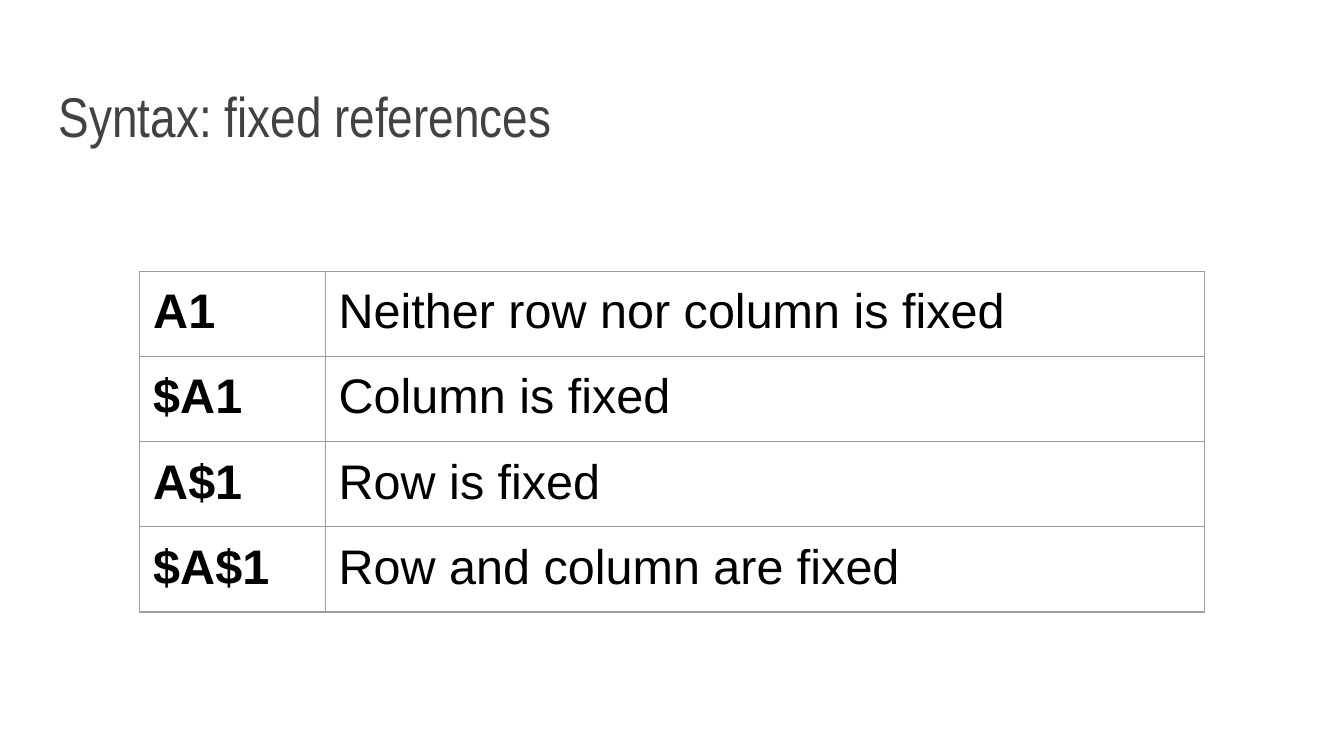
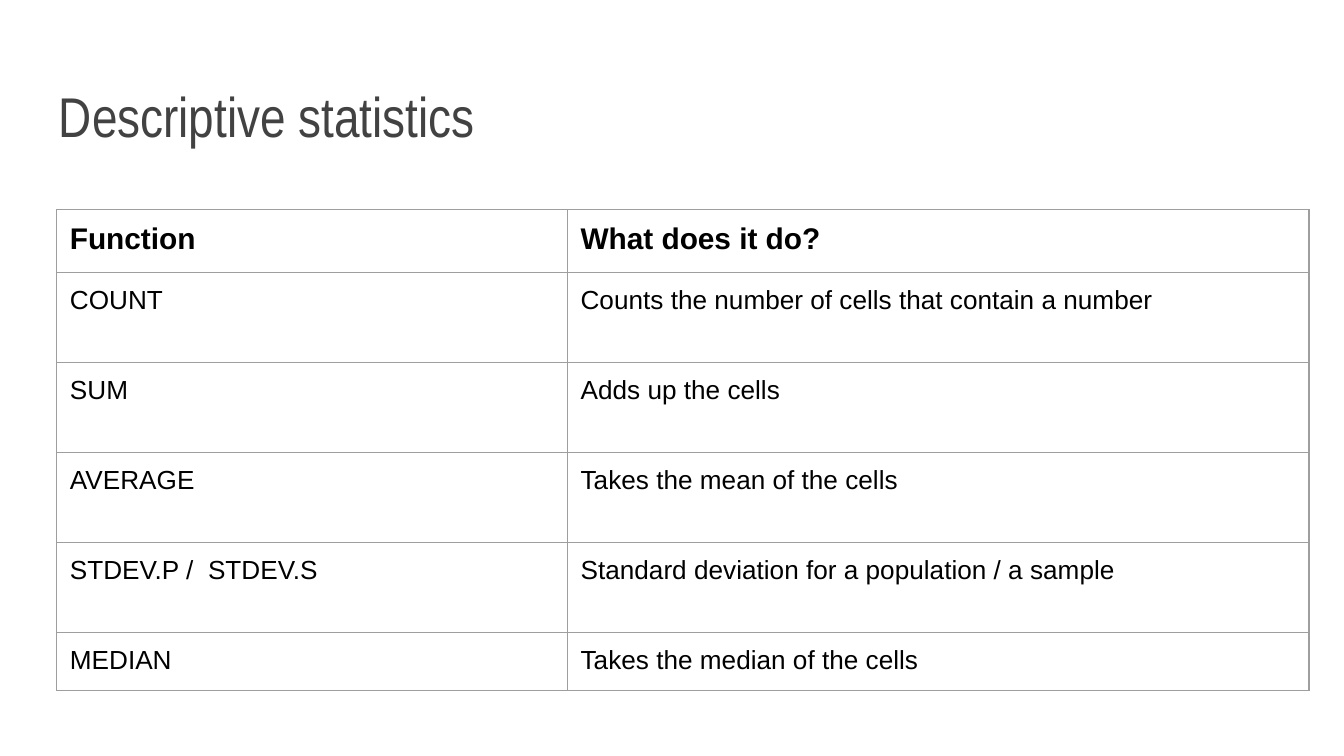
from dataclasses import dataclass

from lxml.etree import SubElement
from pptx import Presentation
from pptx.dml.color import RGBColor
from pptx.enum.text import MSO_ANCHOR
from pptx.oxml.ns import qn
from pptx.presentation import Presentation as Deck
from pptx.slide import Slide
from pptx.table import _Cell
from pptx.text.text import _Paragraph
from pptx.util import Inches, Pt

COLORS = {"title": "424242", "text": "000000", "border": "9E9E9E"}
TITLE_FONT, BODY_FONT = "Arial Narrow", "Arial"
INSET = Inches(0.1)
BORDER_WIDTH = Pt(0.75)


@dataclass
class TableSpec:
    left: float
    top: float
    col_widths: list[float]
    row_heights: list[float]
    rows: list[tuple[str, str]]
    size: int
    header_size: int | None = None  # set when the first row is a header
    bold_first_col: bool = False


@dataclass
class SlideSpec:
    title: str
    table: TableSpec


SLIDES = [
    SlideSpec("Syntax: fixed references", TableSpec(
        1.04, 2.02, [1.38, 6.54], [0.42] * 4,
        [("A1", "Neither row nor column is fixed"),
         ("$A1", "Column is fixed"),
         ("A$1", "Row is fixed"),
         ("$A$1", "Row and column are fixed")],
        size=26, bold_first_col=True)),
    SlideSpec("Descriptive statistics", TableSpec(
        0.42, 1.56, [3.8, 5.52], [0.43] + [0.67] * 4 + [0.42],
        [("Function", "What does it do?"),
         ("COUNT", "Counts the number of cells that contain a number"),
         ("SUM", "Adds up the cells"),
         ("AVERAGE", "Takes the mean of the cells"),
         ("STDEV.P /  STDEV.S", "Standard deviation for a population / a sample"),
         ("MEDIAN", "Takes the median of the cells")],
        size=14, header_size=16)),
]


def add_run(p: _Paragraph, text: str, font: str, size: int, color: str,
            bold: bool = False) -> None:
    p.line_spacing = 1.0
    r = p.add_run()
    r.text = text
    r.font.name = font
    r.font.size = Pt(size)
    r.font.bold = bold
    r.font.color.rgb = RGBColor.from_string(COLORS[color])
    # Same typeface for every script keeps the line height even
    for script in ("ea", "cs"):
        SubElement(r.font._element, qn(f"a:{script}"), typeface=font)


def add_title(s: Slide, text: str) -> None:
    sp = s.shapes.add_textbox(Inches(0.34), Inches(0.41), Inches(9.32), Inches(0.8))
    tf = sp.text_frame
    tf.word_wrap = True
    tf.vertical_anchor = MSO_ANCHOR.BOTTOM
    tf.margin_left = tf.margin_right = tf.margin_top = tf.margin_bottom = INSET
    add_run(tf.paragraphs[0], text, TITLE_FONT, 30, "title")


def style_cell(cell: _Cell) -> None:
    cell.margin_left = cell.margin_right = INSET
    cell.margin_top = cell.margin_bottom = INSET
    cell.fill.background()
    # Border lines must come before the fill in the cell properties
    tc_pr = cell._tc.get_or_add_tcPr()
    for i, side in enumerate(("lnL", "lnR", "lnT", "lnB")):
        ln = SubElement(tc_pr, qn(f"a:{side}"), w=str(BORDER_WIDTH))
        fill = SubElement(ln, qn("a:solidFill"))
        SubElement(fill, qn("a:srgbClr"), val=COLORS["border"])
        tc_pr.insert(i, ln)


def add_table(s: Slide, spec: TableSpec) -> None:
    frame = s.shapes.add_table(
        len(spec.rows), len(spec.col_widths), Inches(spec.left), Inches(spec.top),
        Inches(sum(spec.col_widths)), Inches(sum(spec.row_heights)))
    table = frame.table
    table.first_row = table.horz_banding = False
    for col, width in zip(table.columns, spec.col_widths):
        col.width = Inches(width)
    for row, height in zip(table.rows, spec.row_heights):
        row.height = Inches(height)
    for i, texts in enumerate(spec.rows):
        is_header = i == 0 and spec.header_size is not None
        size = spec.header_size if is_header else spec.size
        for j, text in enumerate(texts):
            cell = table.cell(i, j)
            style_cell(cell)
            bold = is_header or (spec.bold_first_col and j == 0)
            add_run(cell.text_frame.paragraphs[0], text, BODY_FONT, size, "text", bold)


def add_slide(prs: Deck, spec: SlideSpec) -> None:
    s = prs.slides.add_slide(prs.slide_layouts[6])
    add_title(s, spec.title)
    add_table(s, spec.table)


def main() -> None:
    prs = Presentation()
    prs.slide_width = Inches(10)
    prs.slide_height = prs.slide_width * 9 // 16
    for spec in SLIDES:
        add_slide(prs, spec)
    prs.save("out.pptx")


if __name__ == "__main__":
    main()
